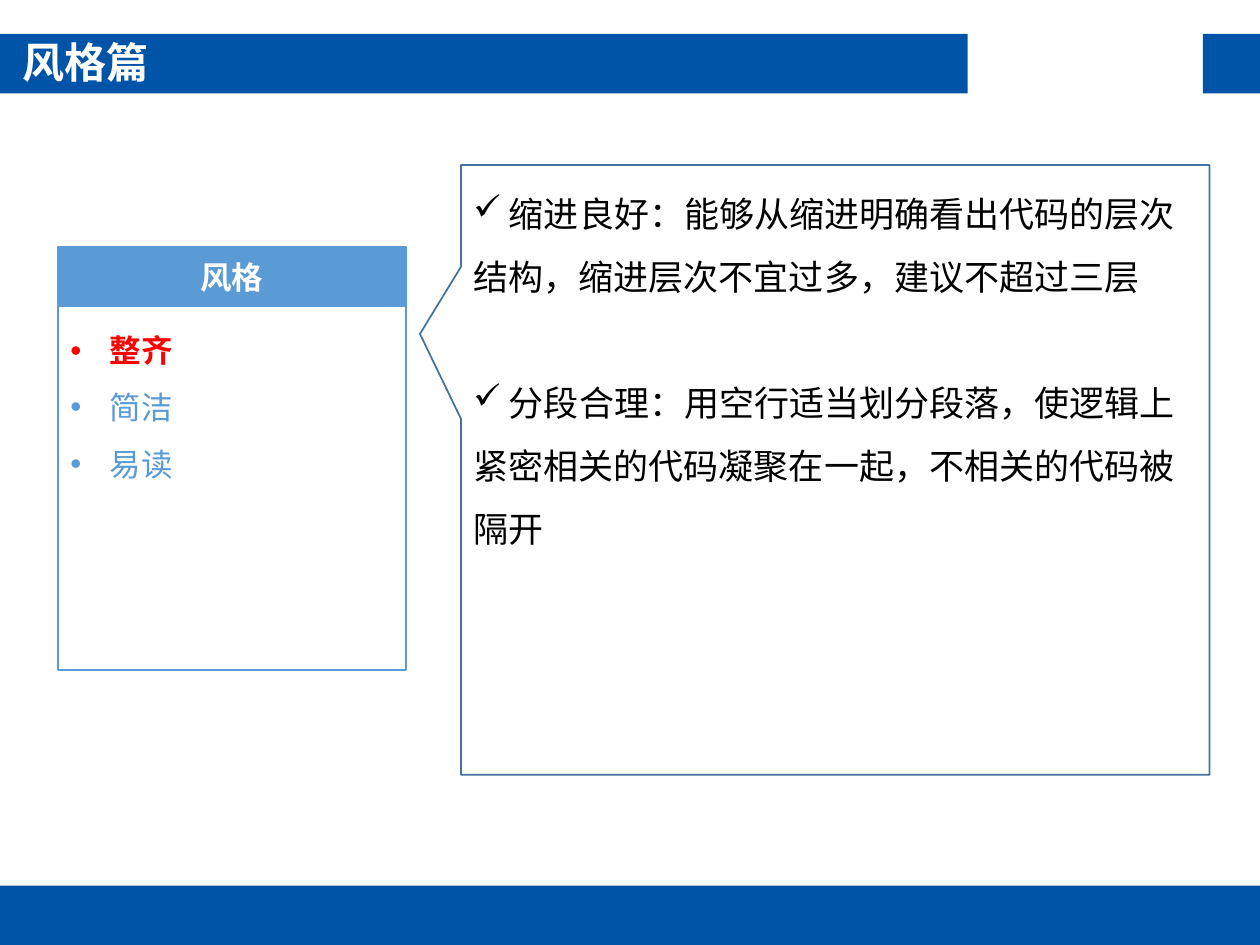
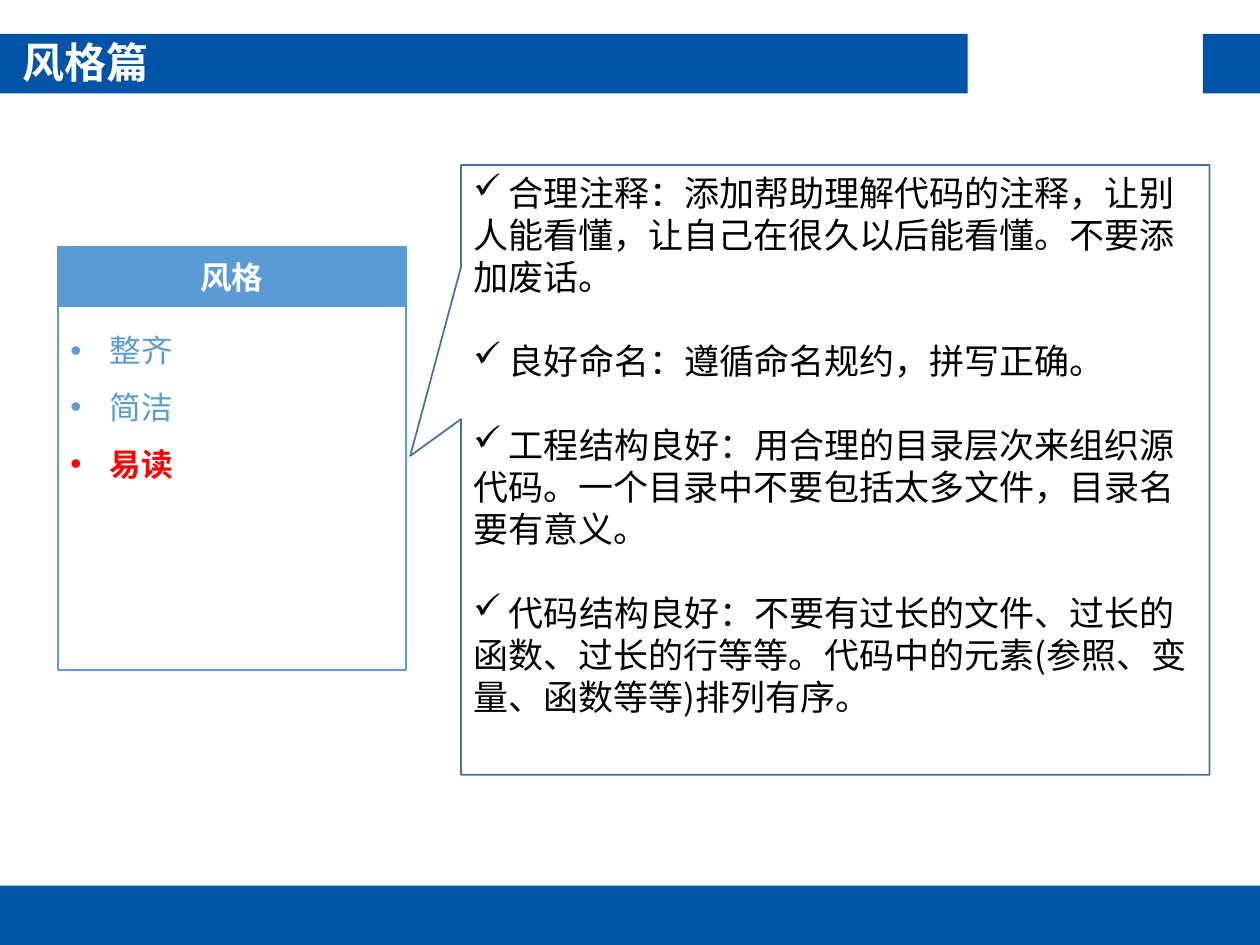
from dataclasses import dataclass

from lxml import etree
from pptx import Presentation
from pptx.dml.color import RGBColor
from pptx.enum.shapes import MSO_SHAPE
from pptx.enum.text import MSO_ANCHOR, MSO_AUTO_SIZE, PP_ALIGN
from pptx.oxml.ns import qn
from pptx.util import Pt

RECTANGLE = MSO_SHAPE.RECTANGLE
CALLOUT = MSO_SHAPE.RECTANGULAR_CALLOUT
TOP, MIDDLE = MSO_ANCHOR.TOP, MSO_ANCHOR.MIDDLE
LEFT, CENTER, JUSTIFY = PP_ALIGN.LEFT, PP_ALIGN.CENTER, PP_ALIGN.JUSTIFY

TITLE = "风格篇"
PANEL_HEADING = "风格"
TOPICS = ["整齐", "简洁", "易读"]
SLIDES = [
    {
        "topic": "整齐",
        "pointer": (-0.555, -0.223),
        "line_spacing": 1.5,
        "points": [
            "缩进良好：能够从缩进明确看出代码的层次结构，缩进层次不宜过多，建议不超过三层",
            "分段合理：用空行适当划分段落，使逻辑上紧密相关的代码凝聚在一起，不相关的代码被隔开",
        ],
    },
    {
        "topic": "易读",
        "pointer": (-0.568, -0.023),
        "line_spacing": 1.0,
        "points": [
            "合理注释：添加帮助理解代码的注释，让别人能看懂，让自己在很久以后能看懂。不要添加废话。",
            "良好命名：遵循命名规约，拼写正确。",
            "工程结构良好：用合理的目录层次来组织源代码。一个目录中不要包括太多文件，目录名要有意义。",
            "代码结构良好：不要有过长的文件、过长的函数、过长的行等等。代码中的元素(参照、变量、函数等等)排列有序。",
        ],
    },
]


@dataclass(frozen=True)
class Theme:
    band: RGBColor = RGBColor(0x00, 0x54, 0xA7)
    panel: RGBColor = RGBColor(0x5B, 0x9B, 0xD5)
    callout_line: RGBColor = RGBColor(0x43, 0x73, 0x9E)
    highlight: RGBColor = RGBColor(0xFF, 0x00, 0x00)
    white: RGBColor = RGBColor(0xFF, 0xFF, 0xFF)
    black: RGBColor = RGBColor(0x00, 0x00, 0x00)
    font: str = "Noto Sans CJK SC"
    title_size: int = 24
    panel_size: int = 18
    point_size: int = 20
    line_height: float = 1.2


THEME = Theme()
WIDTH, HEIGHT = 720, 540
BAND_HEIGHT = 34
BANDS = [
    (0, 19.4, 553, BAND_HEIGHT),
    (687.4, 19.4, WIDTH - 687.4, BAND_HEIGHT),
    (0, HEIGHT - BAND_HEIGHT, WIDTH, BAND_HEIGHT),
]
TITLE_BOX = (5.8, 17.3, 547.2, 36)
HEADING_BOX = (33, 141, 199, 34)
LIST_BOX = (33, 175, 199, 208)
CALLOUT_BOX = (263.5, 94.3, 427.7, 348.5)
LIST_INDENT = 22.5


def place(shape, box):
    shape.left, shape.top, shape.width, shape.height = map(Pt, box)


def add_shape(slide, kind, box, fill, line=None):
    shape = slide.shapes.add_shape(kind, *map(Pt, box))
    shape.shadow.inherit = False
    shape.fill.solid()
    shape.fill.fore_color.rgb = fill
    if line is None:
        shape.line.fill.background()
    else:
        outline(shape, line)
    return shape


def outline(shape, color):
    shape.line.color.rgb = color
    shape.line.width = Pt(1)


def prepare_text(shape, anchor):
    frame = shape.text_frame
    frame.word_wrap = True
    frame.auto_size = MSO_AUTO_SIZE.NONE
    frame.vertical_anchor = anchor
    frame.margin_left = frame.margin_right = Pt(7.2)
    frame.margin_top = frame.margin_bottom = Pt(3.6)
    return frame


def add_paragraph(frame, index, text, size, color, bold=False, align=LEFT,
                  line_spacing=1.0, space_before=0):
    paragraph = frame.add_paragraph() if index else frame.paragraphs[0]
    paragraph.alignment = align
    paragraph.line_spacing = line_spacing
    paragraph.space_before = Pt(space_before)
    run = paragraph.add_run()
    run.text = text
    run.font.name = THEME.font
    run.font.size = Pt(size)
    run.font.bold = bold
    run.font.color.rgb = color
    east_asian = etree.SubElement(run.font._element, qn("a:ea"))
    east_asian.set("typeface", THEME.font)
    return paragraph


def set_bullet(paragraph, character, indent=0):
    properties = paragraph._p.get_or_add_pPr()
    properties.set("marL", str(Pt(indent)))
    properties.set("indent", str(-Pt(indent)))
    etree.SubElement(properties, qn("a:buChar")).set("char", character)


def add_bands_to_layout(layout, slide):
    for number, box in enumerate(BANDS, start=101):
        band = add_shape(slide, RECTANGLE, box, THEME.band)
        band.name = f"Band {number - 100}"
        band.element.nvSpPr.cNvPr.set("id", str(number))
        layout.element.cSld.spTree.append(band.element)


def add_title(slide):
    title = slide.shapes.title
    place(title, TITLE_BOX)
    add_paragraph(prepare_text(title, TOP), 0, TITLE, THEME.title_size,
                  THEME.white, bold=True, align=JUSTIFY)


def add_topic_panel(slide, current_topic):
    heading = add_shape(slide, RECTANGLE, HEADING_BOX, THEME.panel, THEME.panel)
    add_paragraph(prepare_text(heading, MIDDLE), 0, PANEL_HEADING,
                  THEME.panel_size, THEME.white, bold=True, align=CENTER)
    topic_list = slide.placeholders[1]
    place(topic_list, LIST_BOX)
    outline(topic_list, THEME.panel)
    frame = prepare_text(topic_list, TOP)
    for index, topic in enumerate(TOPICS):
        current = topic == current_topic
        color = THEME.highlight if current else THEME.panel
        paragraph = add_paragraph(frame, index, topic, THEME.panel_size, color,
                                  bold=current, line_spacing=1.5)
        set_bullet(paragraph, "•", LIST_INDENT)


def add_callout(slide, content):
    callout = add_shape(slide, CALLOUT, CALLOUT_BOX, THEME.white, THEME.callout_line)
    for index, offset in enumerate(content["pointer"]):
        callout.adjustments[index] = offset
    frame = prepare_text(callout, TOP)
    spacing = content["line_spacing"]
    gap = THEME.point_size * THEME.line_height * spacing
    for index, point in enumerate(content["points"]):
        paragraph = add_paragraph(frame, index, " " + point, THEME.point_size,
                                  THEME.black, line_spacing=spacing,
                                  space_before=gap if index else 0)
        set_bullet(paragraph, "✓")


def main():
    presentation = Presentation()
    presentation.slide_width, presentation.slide_height = Pt(WIDTH), Pt(HEIGHT)
    layout = presentation.slide_layouts[1]
    for index, content in enumerate(SLIDES):
        slide = presentation.slides.add_slide(layout)
        if index == 0:
            add_bands_to_layout(layout, slide)
        add_title(slide)
        add_topic_panel(slide, content["topic"])
        add_callout(slide, content)
    presentation.save("out.pptx")


if __name__ == "__main__":
    main()
